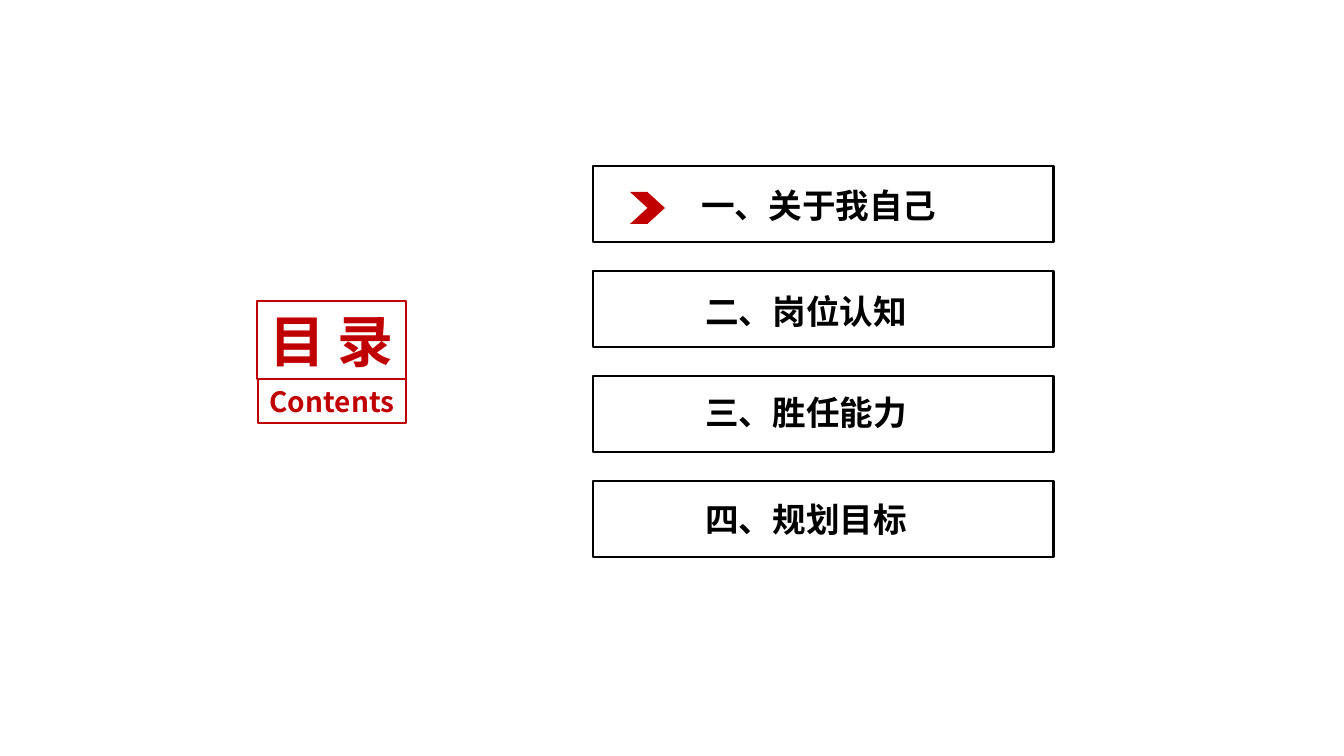
from pptx import Presentation
from pptx import util as u
from pptx.dml.color import RGBColor
from pptx.enum import shapes, text
from pptx.oxml.ns import qn
from lxml import etree
from dataclasses import dataclass


@dataclass(frozen=True)
class Theme:
    font: str = "Noto Sans CJK SC"
    red: RGBColor = RGBColor(0xC0, 0x00, 0x00)
    black: RGBColor = RGBColor(0x00, 0x00, 0x00)
    white: RGBColor = RGBColor(0xFF, 0xFF, 0xFF)
    title_pt: int = 40
    subtitle_pt: int = 20
    item_pt: int = 24
    line_pt: int = 2


THEME = Theme()
WIDTH, HEIGHT = 1344, 756
SCALE = 12192000 / WIDTH
TITLE_BOX = (257, 301, 149, 122)
MENU_BOX = (593, 166, 461, 391)
ITEMS = [
    ("一、关于我自己", 101, 16),
    ("二、岗位认知", 105, 17),
    ("三、胜任能力", 105, 13),
    ("四、规划目标", 105, 15),
]


def px(n):
    return u.Emu(round(n * SCALE))


def set_attrs(obj, values):
    for name, value in values.items():
        setattr(obj, name, value)


def add_block(slide, kind, box, fill, line=None):
    sp = slide.shapes.add_shape(kind, *map(px, box))
    sp.shadow.inherit = False
    sp.fill.solid()
    sp.fill.fore_color.rgb = fill
    if line is None:
        sp.line.fill.background()
    else:
        sp.line.color.rgb = line
        sp.line.width = u.Pt(THEME.line_pt)
    return sp


def write(sp, words, size, color, inset):
    tf = sp.text_frame
    set_attrs(tf, {
        "word_wrap": False,
        "auto_size": text.MSO_AUTO_SIZE.NONE,
        "vertical_anchor": text.MSO_ANCHOR.MIDDLE,
        "margin_left": px(inset),
        "margin_right": px(inset),
        "margin_top": px(inset // 2),
        "margin_bottom": px(inset // 2),
    })
    p = tf.paragraphs[0]
    p.alignment = text.PP_ALIGN.CENTER
    r = p.add_run()
    r.text = words
    set_attrs(r.font, {"name": THEME.font, "size": u.Pt(size), "bold": True})
    r.font.color.rgb = color
    etree.SubElement(r.font._element, qn("a:ea"), typeface=THEME.font)


def add_title(slide, box):
    x, y, w, h = box
    split = 78
    parts = [
        ("目 录", (x, y, w, split), THEME.title_pt),
        ("Contents", (x + 1, y + split, w - 1, h - split), THEME.subtitle_pt),
    ]
    for words, part, size in parts:
        sp = add_block(slide, shapes.MSO_SHAPE.RECTANGLE, part, THEME.white, THEME.red)
        write(sp, words, size, THEME.red, 10)


def add_menu(slide, box):
    x, y, w, h = box
    row_h, label_h, char_w, inset = 76, 46, 34, 6
    pitch = (h - row_h) // (len(ITEMS) - 1)
    for i, (words, dx, dy) in enumerate(ITEMS):
        top = y + i * pitch
        add_block(slide, shapes.MSO_SHAPE.RECTANGLE, (x, top, w, row_h),
                  THEME.white, THEME.black)
        label_w = len(words) * char_w + 2 * inset
        label = slide.shapes.add_textbox(*map(px, (x + dx, top + dy, label_w, label_h)))
        write(label, words, THEME.item_pt, THEME.black, inset)
    marker = add_block(slide, shapes.MSO_SHAPE.CHEVRON, (x + 37, y + 26, 35, 32), THEME.red)
    marker.adjustments[0] = 0.55


def main():
    prs = Presentation()
    set_attrs(prs, {"slide_width": px(WIDTH), "slide_height": px(HEIGHT)})
    slide = prs.slides.add_slide(prs.slide_layouts[6])
    add_title(slide, TITLE_BOX)
    add_menu(slide, MENU_BOX)
    prs.save("out.pptx")


if __name__ == "__main__":
    main()
